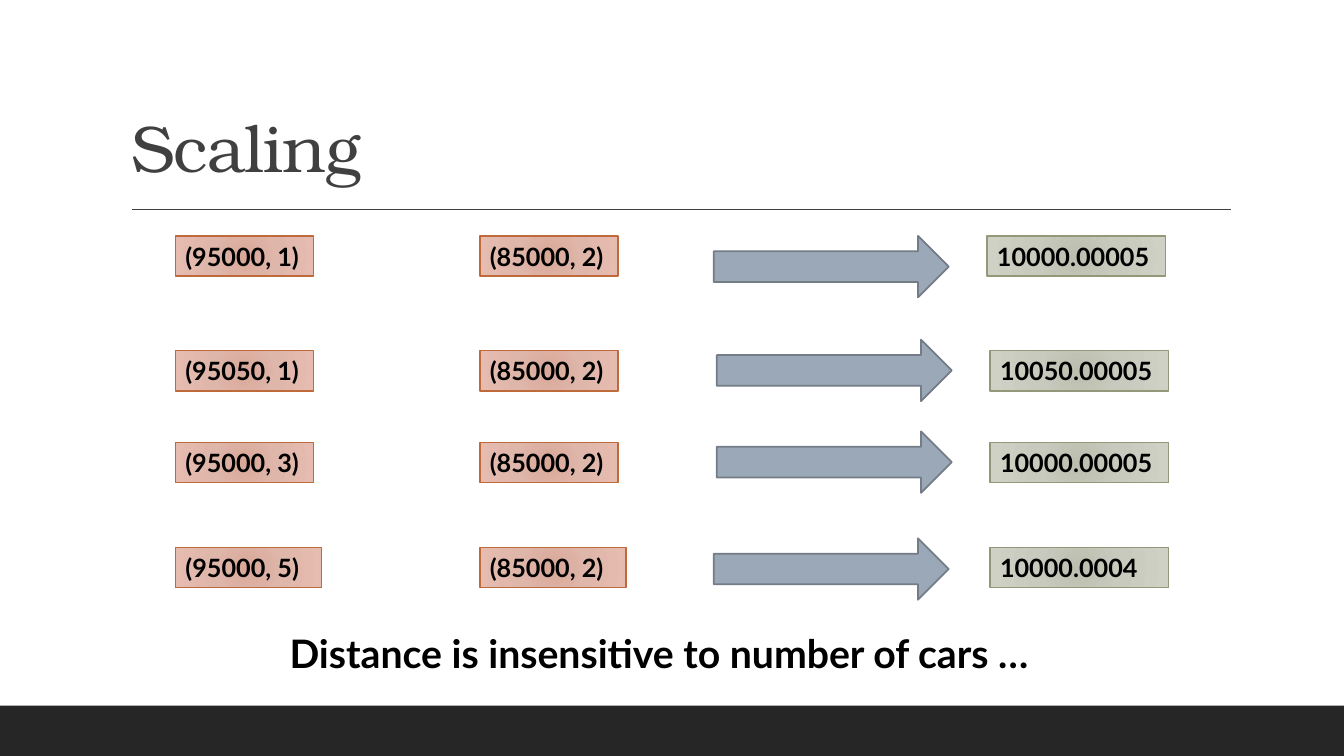
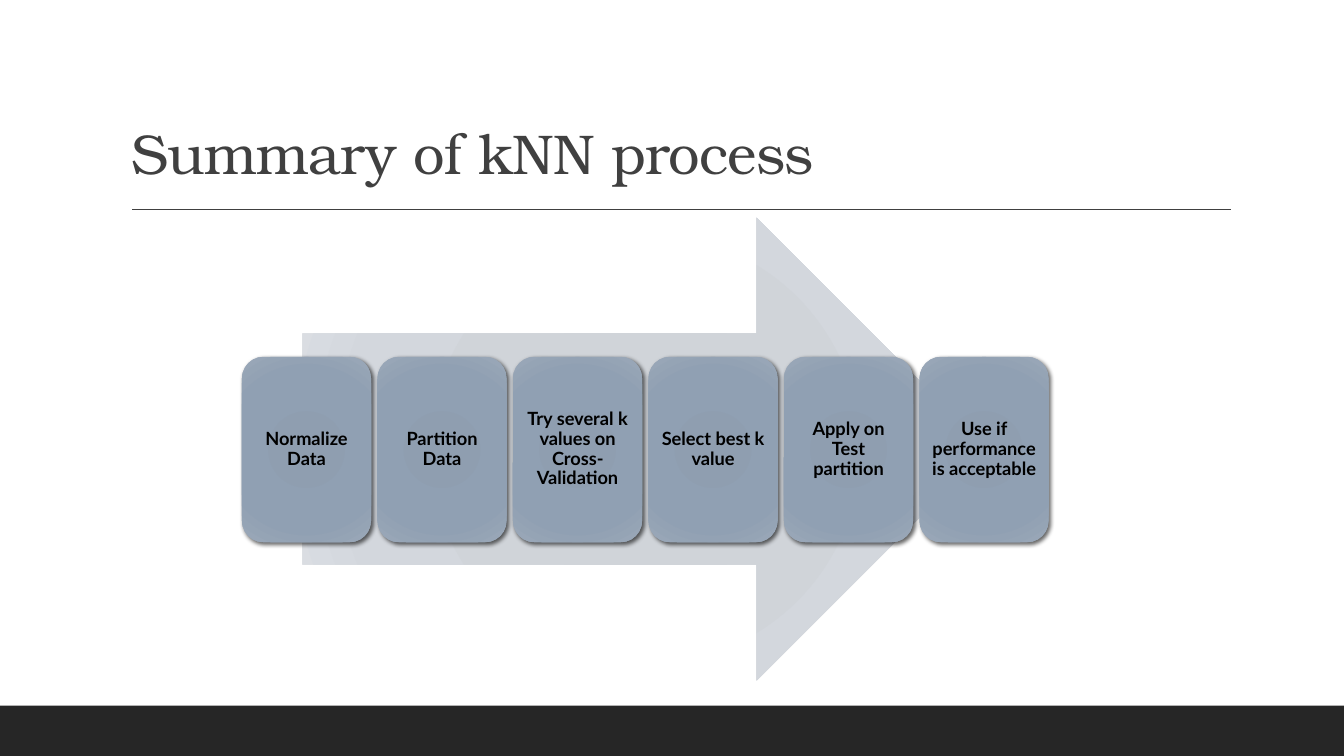
from pptx import Presentation
from pptx.dml.color import RGBColor
from pptx.enum.shapes import MSO_CONNECTOR as Line, MSO_SHAPE as Kind
from pptx.enum.text import MSO_ANCHOR as Anchor, MSO_AUTO_SIZE as Fit, PP_ALIGN as Align
from pptx.oxml import parse_xml
from pptx.oxml.ns import nsdecls, qn
from pptx.util import Inches, Pt

hue = RGBColor.from_string


class Theme:
    head, body = "TeX Gyre Bonum", "Lato"
    ink, text, band = hue("404040"), hue("000000"), hue("262626")
    steel, edge = hue("9BA8B7"), hue("737C87")
    rust, moss = hue("BF6A3B"), hue("92987A")
    # Gradient stops: percent and colour
    rose = [(0, "D8A899"), (45, "DFB6AA"), (100, "E7BCB0")]
    sage = [(0, "BCBFAF"), (45, "C7CABC"), (100, "CED1C3")]
    mist = [(0, "CED2D7"), (34, "D0D4D9"), (70, "D3D7DD"), (100, "DEE1E6")]
    slate = [(0, "8D9CAE"), (34, "8F9EB0"), (70, "90A0B3"), (100, "9AA8B8")]
    cell, note, step = Pt(18), Pt(28), Pt(13)


def shade(shape, stops):
    """Fill a shape with a radial gradient and clear its shadow."""
    shape.shadow.inherit = False
    shape.fill.background()
    marks = "".join(
        f'<a:gs pos="{pos * 1000}"><a:srgbClr val="{tone}"/></a:gs>' for pos, tone in stops)
    grad = parse_xml(
        f'<a:gradFill {nsdecls("a")} rotWithShape="1"><a:gsLst>{marks}</a:gsLst>'
        '<a:path path="circle"><a:fillToRect l="100000" t="100000" r="100000" b="100000"/>'
        '</a:path></a:gradFill>')
    props = shape.element.spPr
    props.replace(props.find(qn("a:noFill")), grad)


def write(shape, text, size, align, wrap=True, font=Theme.body, tone=Theme.text, bold=True):
    """Set one paragraph of text and return the paragraph."""
    frame = shape.text_frame
    frame.text = text
    frame.word_wrap = wrap
    para = frame.paragraphs[0]
    para.alignment = align
    face = para.runs[0].font
    face.name, face.size, face.bold = font, size, bold
    face.color.rgb = tone
    return para


deck = Presentation()
deck.slide_width, deck.slide_height = Inches(13.33), Inches(7.5)

# Title-only layout: place the title, drop the footer fields
base = deck.slide_layouts[5]
for field in list(base.placeholders):
    if field.placeholder_format.idx:
        field.element.getparent().remove(field.element)
    else:
        field.left, field.top = Inches(1.2), Inches(0.31)
        field.width, field.height = Inches(11), Inches(1.59)

# Slides and titles
slides = []
for text, size in [("Scaling", 47), ("Summary of kNN process", 40)]:
    slide = deck.slides.add_slide(base)
    title = slide.shapes.title
    para = write(title, text, Pt(size), Align.LEFT,
                 font=Theme.head, tone=Theme.ink, bold=False)
    para.line_spacing = 0.9
    para.runs[0].font._element.set("spc", "-50")
    title.text_frame.vertical_anchor = Anchor.BOTTOM
    title.text_frame.auto_size = Fit.NONE
    slides.append(slide)
scale, recap = slides

# Band and title rule, moved to the layout so that both slides share them
band = scale.shapes.add_shape(Kind.RECTANGLE, 0, Inches(7), deck.slide_width, Inches(0.5))
band.shadow.inherit = False
band.fill.solid()
band.fill.fore_color.rgb = Theme.band
band.line.fill.background()
rule = scale.shapes.add_connector(
    Line.STRAIGHT, Inches(1.31), Inches(2.08), Inches(12.21), Inches(2.08))
rule.line.color.rgb, rule.line.width = Theme.ink, Pt(1)
rule.element.spPr.append(parse_xml(f'<a:effectLst {nsdecls("a")}/>'))
for part in (band, rule):
    base.element.cSld.spTree.append(part.element)

# Scaling: two points, an arrow and their distance in each row
# Row: first point, distance, box top, arrow top, arrow left, distance left, point width
rows = [
    ("(95000, 1)", "10000.00005", 2.34, 2.34, 7.08, 9.79, 1.37),
    ("(95050, 1)", "10050.00005", 3.48, 3.37, 7.11, 9.82, 1.37),
    ("(95000, 3)", "10000.00005", 4.39, 4.28, 7.11, 9.82, 1.37),
    ("(95000, 5)", "10000.0004", 5.43, 5.34, 7.08, 9.82, 1.45),
]
for point, dist, top, high, left, end, wide in rows:
    cells = [
        (point, 1.74, wide, Theme.rose, Theme.rust),
        ("(85000, 2)", 4.76, wide, Theme.rose, Theme.rust),
        (dist, end, 1.77, Theme.sage, Theme.moss),
    ]
    for text, x, width, stops, edge in cells:
        box = scale.shapes.add_shape(
            Kind.RECTANGLE, Inches(x), Inches(top), Inches(width), Inches(0.4))
        shade(box, stops)
        box.line.color.rgb, box.line.width = edge, Pt(1)
        write(box, text, Theme.cell, Align.LEFT, wrap=width > 1.4)
    arrow = scale.shapes.add_shape(
        Kind.RIGHT_ARROW, Inches(left), Inches(high), Inches(2.33), Inches(0.61))
    arrow.shadow.inherit = False
    arrow.fill.solid()
    arrow.fill.fore_color.rgb = Theme.steel
    arrow.line.color.rgb, arrow.line.width = Theme.edge, Pt(1.25)

note = scale.shapes.add_textbox(Inches(0.46), Inches(6.19), Inches(12.15), Inches(0.57))
write(note, "Distance is insensitive to number of cars …", Theme.note, Align.CENTER)

# Summary: wide arrow behind six steps
arrow = recap.shapes.add_shape(
    Kind.RIGHT_ARROW, Inches(3), Inches(2.16), Inches(6.8), Inches(4.59))
shade(arrow, Theme.mist)
arrow.line.fill.background()

steps = [
    "Normalize Data",
    "Partition Data",
    "Try several k values on Cross-Validation",
    "Select best k value",
    "Apply on Test partition",
    "Use if performance is acceptable",
]
pitch = 1.344
for i, text in enumerate(steps):
    card = recap.shapes.add_shape(
        Kind.ROUNDED_RECTANGLE, Inches(2.4 + i * pitch), Inches(3.54),
        Inches(1.28), Inches(1.84))
    card.line.fill.background()
    shade(card, Theme.slate)
    card.element.spPr.find(qn("a:effectLst")).append(parse_xml(
        f'<a:outerShdw {nsdecls("a")} blurRad="{Pt(3)}" dist="{Pt(2)}" dir="2700000" '
        'algn="ctr" rotWithShape="0"><a:srgbClr val="000000"><a:alpha val="60000"/>'
        '</a:srgbClr></a:outerShdw>'))
    write(card, text, Theme.step, Align.CENTER).line_spacing = 0.9
    frame = card.text_frame
    frame.vertical_anchor = Anchor.MIDDLE
    # The preset's own text area is already inset by its corners
    frame.margin_left = frame.margin_right = Inches(0.05)
    frame.margin_top = frame.margin_bottom = Inches(0.05)

deck.save("out.pptx")
